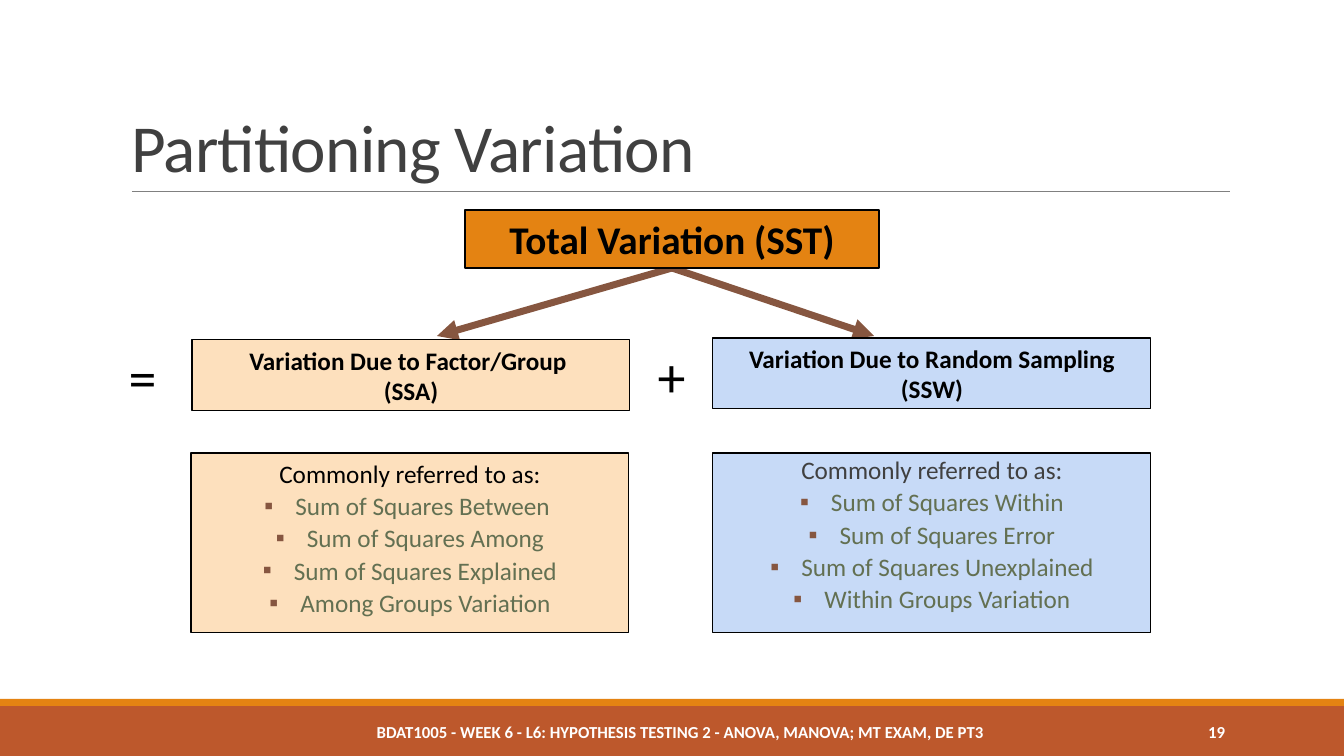
from lxml import etree
from pptx import Presentation
from pptx.dml.color import RGBColor
from pptx.enum.shapes import MSO_CONNECTOR, MSO_SHAPE
from pptx.enum.text import MSO_ANCHOR, MSO_AUTO_SIZE, PP_ALIGN
from pptx.oxml.ns import qn
from pptx.util import Emu, Pt

RECTANGLE, STRAIGHT = MSO_SHAPE.RECTANGLE, MSO_CONNECTOR.STRAIGHT
LEFT, CENTER, RIGHT = PP_ALIGN.LEFT, PP_ALIGN.CENTER, PP_ALIGN.RIGHT
TOP, MIDDLE, BOTTOM = MSO_ANCHOR.TOP, MSO_ANCHOR.MIDDLE, MSO_ANCHOR.BOTTOM
NO_AUTOFIT = MSO_AUTO_SIZE.NONE

BLACK = RGBColor(0x00, 0x00, 0x00)
WHITE = RGBColor(0xFF, 0xFF, 0xFF)
DARK_GRAY = RGBColor(0x40, 0x40, 0x40)
RULE_GRAY = RGBColor(0x80, 0x80, 0x80)
ORANGE = RGBColor(0xE4, 0x83, 0x12)
RUST = RGBColor(0xBD, 0x58, 0x2C)
BROWN = RGBColor(0x86, 0x56, 0x40)
GREEN = RGBColor(0x63, 0x70, 0x52)
PEACH = RGBColor(0xFD, 0xE0, 0xBD)
LIGHT_BLUE = RGBColor(0xC7, 0xDA, 0xF7)

FONT = "Calibri"
PX = 9071.43  # EMU per px
LIST_INDENT = 31


def px(*lengths):
    return [Emu(round(length * PX)) for length in lengths]


def write_text(shape, lines, size=18, color=BLACK, bold=False, align=CENTER, anchor=TOP,
               bullet_color=None, item_color=None, spacing=None, before=0, after=0):
    """Write lines; with a bullet color, every line after the first is a list item."""
    frame = shape.text_frame
    frame.word_wrap = True
    frame.auto_size = NO_AUTOFIT
    frame.vertical_anchor = anchor
    for index, line in enumerate(lines):
        paragraph = frame.add_paragraph() if index else frame.paragraphs[0]
        paragraph.text = line
        is_item = bullet_color is not None and index > 0
        if bullet_color is not None:
            properties = paragraph._p.get_or_add_pPr()
            indent = px(LIST_INDENT)[0]
            properties.set("marL", str(indent))
            properties.set("indent", str(-indent))
            if is_item:
                bullet_fill = etree.SubElement(properties, qn("a:buClr"))
                etree.SubElement(bullet_fill, qn("a:srgbClr")).set("val", str(bullet_color))
                etree.SubElement(properties, qn("a:buFont")).set("typeface", FONT)
                etree.SubElement(properties, qn("a:buChar")).set("char", "▪")
            else:
                etree.SubElement(properties, qn("a:buNone"))
        paragraph.alignment = align
        paragraph.line_spacing = spacing
        paragraph.space_before = Pt(before if index else 0)
        paragraph.space_after = Pt(after)
        for run in paragraph.runs:
            run.font.name = FONT
            run.font.size = Pt(size)
            run.font.bold = bold
            run.font.color.rgb = item_color if is_item else color


presentation = Presentation()
presentation.slide_width, presentation.slide_height = px(1344, 756)
slide = presentation.slides.add_slide(presentation.slide_layouts[3])
shapes = slide.shapes

# Footer bars
for top, height, color in [(706, 50, RUST), (699, 7, ORANGE)]:
    bar = shapes.add_shape(RECTANGLE, *px(0, top, 1344, height))
    bar.shadow.inherit = False
    bar.fill.solid()
    bar.fill.fore_color.rgb = color
    bar.line.fill.background()

# Title
title = shapes.title
title.left, title.top, title.width, title.height = px(121, 31, 1109, 160)
write_text(title, ["Partitioning Variation"], size=48, color=DARK_GRAY, align=LEFT,
           anchor=BOTTOM, spacing=0.85)
title.text_frame.paragraphs[0].runs[0].font._element.set("spc", "-50")

# Title rule and the two arrows
connectors = []
for ends, color, width in [((132, 191, 1230, 191), RULE_GRAY, 0.5),
                           ((672, 270, 437, 336), BROWN, 5),
                           ((672, 270, 874, 336), BROWN, 5)]:
    connector = shapes.add_connector(STRAIGHT, *px(*ends))
    connector.line.color.rgb = color
    connector.line.width = Pt(width)
    etree.SubElement(connector._element.spPr, qn("a:effectLst"))
    connectors.append(connector)

# Variation boxes
boxes = []
for frame, fill, line_width, size, text in [
    ((465, 210, 414, 58), ORANGE, 1, 28, "Total Variation (SST)"),
    ((192, 340, 438, 71), PEACH, 0.75, 18, "Variation Due to Factor/Group \v(SSA)"),
    ((713, 338, 438, 71), LIGHT_BLUE, 0.75, 18, "Variation Due to Random Sampling (SSW)"),
]:
    box = shapes.add_shape(RECTANGLE, *px(*frame))
    box.shadow.inherit = False
    box.fill.solid()
    box.fill.fore_color.rgb = fill
    box.line.color.rgb = BLACK
    box.line.width = Pt(line_width)
    write_text(box, [text], size=size, bold=True)
    boxes.append(box)

# Arrows start at the bottom of the total box
for arrow in connectors[1:]:
    arrow.begin_connect(boxes[0], 2)
    etree.SubElement(arrow.line._get_or_add_ln(), qn("a:tailEnd")).set("type", "triangle")

# Lists of other names
lists = [
    (1, 191, PEACH, BLACK, {"before": 1.5},
     ["Commonly referred to as:", "Sum of Squares Between ", "Sum of Squares Among",
      "Sum of Squares Explained", "Among Groups Variation"]),
    (2, 713, LIGHT_BLUE, DARK_GRAY, {"spacing": 0.9, "before": 1.5, "after": 2},
     ["Commonly referred to as:", "Sum of Squares Within", "Sum of Squares Error",
      "Sum of Squares Unexplained", "Within Groups Variation"]),
]
for index, left, fill, color, gaps, lines in lists:
    body = slide.placeholders[index]
    body.left, body.top, body.width, body.height = px(left, 453, 438, 180)
    body.fill.solid()
    body.fill.fore_color.rgb = fill
    body.line.color.rgb = BLACK
    body.line.width = Pt(0.75)
    write_text(body, lines, color=color, bullet_color=BROWN, item_color=GREEN, **gaps)

# Operators, footer and slide number
footer_format = {"size": 12, "color": WHITE, "bold": True, "anchor": MIDDLE}
for frame, text, text_format in [
    ((97, 338, 91, 77), "=", {"size": 40}),
    ((634, 337, 75, 77), "+", {"size": 40}),
    ((252, 712, 857, 40),
     "BDAT1005 - WEEK 6 - L6: HYPOTHESIS TESTING 2 - ANOVA, MANOVA; MT EXAM, DE PT3",
     footer_format),
    ((1134, 712, 101, 40), "19", {**footer_format, "align": RIGHT}),
]:
    write_text(shapes.add_textbox(*px(*frame)), [text], **text_format)

presentation.save("out.pptx")
